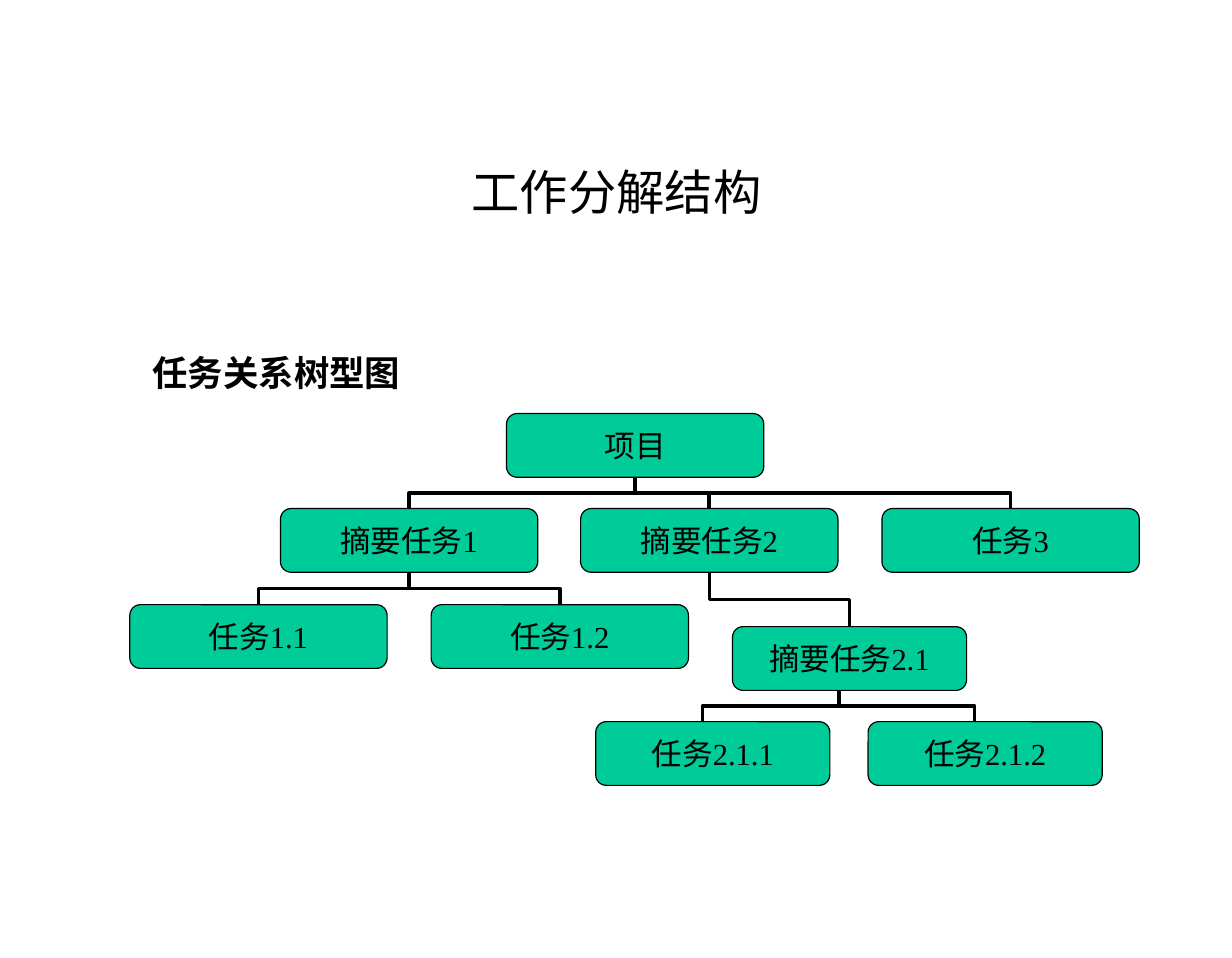
from lxml import etree
from pptx import Presentation
from pptx.dml.color import RGBColor
from pptx.enum.shapes import MSO_CONNECTOR, MSO_SHAPE
from pptx.enum.text import MSO_ANCHOR, MSO_AUTO_SIZE, PP_ALIGN
from pptx.oxml.ns import qn
from pptx.util import Inches, Pt

FONT = "Times New Roman"
BLACK, GREEN = "000000", "00CC99"
BOX_HEIGHT = 0.55
WIDE, NARROW = 2.22, 2.02
TASKS = {
    "项目": (4.37, 3.57, WIDE),
    "摘要任务1": (2.42, 4.39, WIDE),
    "摘要任务2": (5.01, 4.39, WIDE),
    "任务3": (7.61, 4.39, WIDE),
    "任务1.1": (1.12, 5.22, WIDE),
    "任务1.2": (3.72, 5.22, WIDE),
    "摘要任务2.1": (6.32, 5.41, NARROW),
    "任务2.1.1": (5.14, 6.23, NARROW),
    "任务2.1.2": (7.49, 6.23, NARROW),
}
CHILDREN = {
    "项目": ["摘要任务1", "摘要任务2", "任务3"],
    "摘要任务1": ["任务1.1", "任务1.2"],
    "摘要任务2": ["摘要任务2.1"],
    "摘要任务2.1": ["任务2.1.1", "任务2.1.2"],
}
SHIFTS = {"摘要任务2.1": -0.09}


def rgb(color):
    """Turn a hex string into a colour."""
    return RGBColor.from_string(color)


def set_text(sp, text, size, bold=False, anchor=MSO_ANCHOR.MIDDLE, wrap=True):
    """Write one centred black paragraph into a shape."""
    tf = sp.text_frame
    tf.text = text
    tf.word_wrap = wrap
    tf.vertical_anchor = anchor
    p = tf.paragraphs[0]
    p.alignment = PP_ALIGN.CENTER
    font = p.runs[0].font
    font.name, font.size, font.bold = FONT, Pt(size), bold
    font.color.rgb = rgb(BLACK)


def add_title(s, text):
    """Place and format the title placeholder."""
    sp = s.shapes.title
    sp.left, sp.top = Inches(0.8), Inches(1.19)
    sp.width, sp.height = Inches(9.04), Inches(0.92)
    set_text(sp, text, 30)


def add_heading(s, text):
    """Add the bold heading of the tree."""
    sp = s.shapes.add_textbox(Inches(1.2), Inches(2.98), Inches(2.37), Inches(0.47))
    set_text(sp, text, 22, bold=True, anchor=MSO_ANCHOR.TOP)
    sp.text_frame.auto_size = MSO_AUTO_SIZE.SHAPE_TO_FIT_TEXT


def add_task(s, text, left, top, width):
    """Add a rounded task box."""
    sp = s.shapes.add_shape(MSO_SHAPE.ROUNDED_RECTANGLE, Inches(left), Inches(top),
                            Inches(width), Inches(BOX_HEIGHT))
    sp.shadow.inherit = False
    sp.fill.solid()
    sp.fill.fore_color.rgb = rgb(GREEN)
    sp.line.color.rgb = rgb(BLACK)
    sp.line.width = Pt(0.75)
    set_text(sp, text, 19, wrap=False)
    return sp


def add_branch(s, parent, child, shift=0):
    """Join a parent's bottom to a child's top with a vertical elbow."""
    x1 = parent.left + parent.width // 2 + Inches(shift)
    x2 = child.left + child.width // 2 + Inches(shift)
    y1, y2 = parent.top + parent.height, child.top
    c = s.shapes.add_connector(MSO_CONNECTOR.ELBOW, x1, y1, x2, y2)
    if not shift:
        c.begin_connect(parent, 2)
        c.end_connect(child, 0)
    length, span = y2 - y1, abs(x2 - x1)
    c.left, c.top = (x1 + x2 - length) // 2, (y1 + y2 - span) // 2
    c.width, c.height = length, span
    xfrm = c._element.spPr.find(qn("a:xfrm"))
    to_right = x2 > x1
    xfrm.set("rot", "16200000" if to_right else "5400000")
    xfrm.set("flipH", "1" if to_right else "0")
    c.line.color.rgb = rgb(BLACK)
    c.line.width = Pt(2.25)
    etree.SubElement(c._element.spPr, qn("a:effectLst"))


def main():
    """Build the work breakdown slide."""
    prs = Presentation()
    prs.slide_width, prs.slide_height = Inches(10.63), Inches(8.27)
    s = prs.slides.add_slide(prs.slide_layouts[5])
    add_title(s, "工作分解结构")
    add_heading(s, "任务关系树型图")
    boxes = {name: add_task(s, name, *place) for name, place in TASKS.items()}
    for parent, names in CHILDREN.items():
        for name in names:
            add_branch(s, boxes[parent], boxes[name], SHIFTS.get(parent, 0))
    prs.save("out.pptx")


if __name__ == "__main__":
    main()
